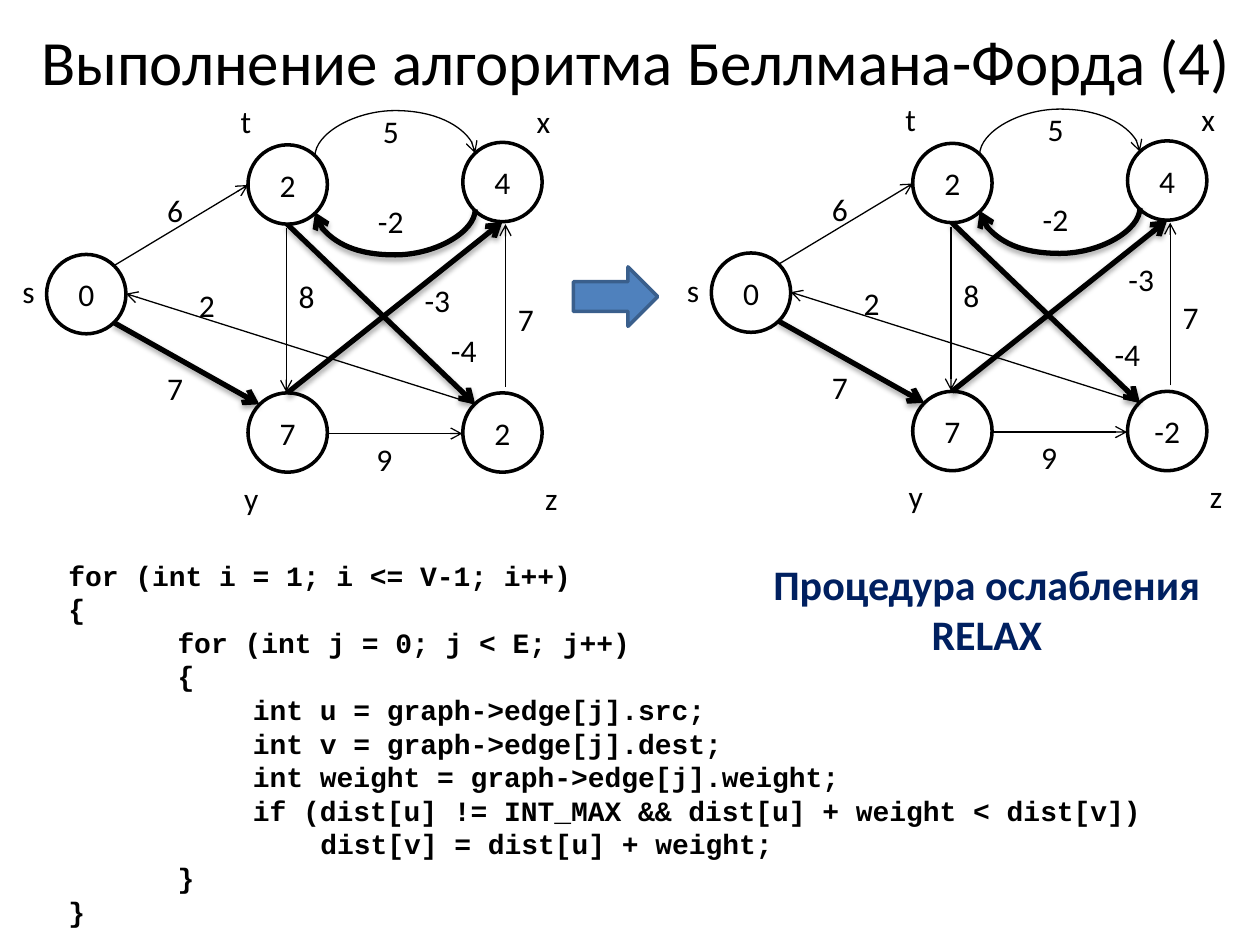
from lxml import etree
from pptx import Presentation
from pptx.dml.color import RGBColor
from pptx.enum.shapes import MSO_CONNECTOR, MSO_SHAPE
from pptx.enum.text import MSO_ANCHOR, MSO_AUTO_SIZE, PP_ALIGN
from pptx.oxml.ns import qn
from pptx.util import Cm, Pt

LINE, CURVE = MSO_CONNECTOR.STRAIGHT, MSO_CONNECTOR.CURVE
OVAL, ARROW = MSO_SHAPE.OVAL, MSO_SHAPE.RIGHT_ARROW
MIDDLE, GROW = MSO_ANCHOR.MIDDLE, MSO_AUTO_SIZE.SHAPE_TO_FIT_TEXT
LEFT, CENTER = PP_ALIGN.LEFT, PP_ALIGN.CENTER

BLACK, WHITE, NAVY = "000000", "FFFFFF", "002060"
THIN, BOLD = 0.75, 3
NODE = 1.6  # node diameter, cm

# Node corners: left, top
SPOTS = {"s": (0.94, 5.13), "t": (5, 2.92), "y": (5, 7.92),
         "x": (9.33, 2.87), "z": (9.33, 7.92)}

# Straight edges: start, end, weight of line
EDGES = [
    (2.29, 5.36, 5, 3.73, THIN),       # s to t
    (2.29, 6.5, 5.23, 8.15, BOLD),     # s to y
    (6.6, 8.74, 9.32, 8.74, THIN),     # y to z
    (5.79, 7.92, 10.13, 4.47, BOLD),   # y to x
    (9.58, 8.15, 2.54, 5.92, THIN),    # z to s
    (5.77, 4.6, 5.77, 7.9, THIN),      # t to y
    (10.19, 7.8, 10.19, 4.52, THIN),   # z to x
    (5.79, 4.52, 9.58, 8.15, BOLD),    # t to z
]

# Curved edges: start, end, weight of line
ARCS = [
    (6.35, 3.15, 9.58, 3.09, THIN),    # t to x
    (9.58, 4.22, 6.35, 4.28, BOLD),    # x to t
]
BULGE = 0.92  # depth of a curved edge, cm

# Labels shared by both graphs: text, left, top, width
LABELS = [
    ("6", 3.12, 3.73, 0.84), ("7", 3.12, 7.32, 0.84),
    ("5", 7.47, 2.13, 0.84), ("9", 7.34, 8.74, 0.84),
    ("2", 3.76, 5.64, 0.84), ("7", 10.19, 5.92, 0.84),
    ("8", 5.77, 5.46, 0.84), ("-2", 7.37, 3.94, 1.04),
    ("t", 4.6, 1.93, 0.74), ("x", 10.57, 1.93, 0.79),
    ("y", 4.67, 9.53, 0.81), ("z", 10.74, 9.53, 0.76),
    ("s", 0.2, 5.36, 0.76),
]

# Code lines: indent in cm, text
CODE = [
    (0.34, "for (int i = 1; i <= V-1; i++)"),
    (0.34, "{"),
    (2.54, "for (int j = 0; j < E; j++)"),
    (2.54, "{"),
    (4.06, "int u = graph->edge[j].src;"),
    (4.06, "int v = graph->edge[j].dest;"),
    (4.06, "int weight = graph->edge[j].weight;"),
    (4.06, "if (dist[u] != INT_MAX && dist[u] + weight < dist[v])"),
    (5.42, "dist[v] = dist[u] + weight;"),
    (2.54, "}"),
    (0.34, "}"),
]


def tint(code):
    return RGBColor.from_string(code)


def write(para, text, size=18, color=BLACK, bold=False, face="Calibri",
          align=LEFT):
    para.alignment = align
    run = para.add_run()
    run.text = text
    font = run.font
    font.name, font.size, font.bold = face, Pt(size), bold
    font.color.rgb = tint(color)


def add_text(shapes, left, top, width, height, wrap=False):
    box = shapes.add_textbox(Cm(left), Cm(top), Cm(width), Cm(height))
    box.text_frame.word_wrap = wrap
    box.text_frame.auto_size = GROW
    return box.text_frame


def add_shape(shapes, kind, left, top, width, height, fill, line):
    shape = shapes.add_shape(kind, Cm(left), Cm(top), Cm(width), Cm(height))
    shape.shadow.inherit = False
    shape.fill.solid()
    shape.fill.fore_color.rgb = tint(fill)
    shape.line.color.rgb = tint(line)
    shape.line.width = Pt(2)
    return shape


def add_node(shapes, left, top, text):
    frame = add_shape(shapes, OVAL, left, top, NODE, NODE,
                      WHITE, BLACK).text_frame
    frame.vertical_anchor = MIDDLE
    write(frame.paragraphs[0], text, align=CENTER)


def add_label(shapes, text, left, top, width):
    frame = add_text(shapes, left, top, width, 1.02)
    write(frame.paragraphs[0], text)


def add_edge(shapes, kind, x1, y1, x2, y2, weight):
    edge = shapes.add_connector(kind, Cm(x1), Cm(y1), Cm(x2), Cm(y2))
    edge.line.color.rgb = tint(BLACK)
    edge.line.width = Pt(weight)
    props = edge._element.spPr
    etree.SubElement(props.find(qn("a:ln")), qn("a:tailEnd"), type="arrow")
    effects = etree.SubElement(props, qn("a:effectLst"))
    if weight == BOLD:
        shade = etree.SubElement(effects, qn("a:outerShdw"), blurRad="40000",
                                 dist="23000", dir="5400000", rotWithShape="0")
        color = etree.SubElement(shade, qn("a:srgbClr"), val=BLACK)
        etree.SubElement(color, qn("a:alpha"), val="35000")
    return props


def add_arc(shapes, x1, y1, x2, y2, weight):
    # A quarter turn swaps the sides of the box around its centre
    mid_x, mid_y = (x1 + x2) / 2, (y1 + y2) / 2
    wide, high = abs(y2 - y1), abs(x2 - x1)
    left, top = mid_x - wide / 2, mid_y - high / 2
    props = add_edge(shapes, CURVE, left, top, left + wide, top + high, weight)
    frame = props.find(qn("a:xfrm"))
    frame.set("rot", "5400000")
    if x2 > x1:
        frame.set("flipH", "1")
        frame.set("flipV", "1")
    shape = props.find(qn("a:prstGeom"))
    guides = shape.find(qn("a:avLst"))
    if guides is None:
        guides = etree.SubElement(shape, qn("a:avLst"))
    etree.SubElement(guides, qn("a:gd"), name="adj1",
                     fmla=f"val {round(BULGE / wide * 100000)}")


def add_graph(slide, dx, dy, dists, extra):
    shapes = slide.shapes.add_group_shape().shapes
    for name, (left, top) in SPOTS.items():
        add_node(shapes, left + dx, top + dy, dists[name])
    for x1, y1, x2, y2, weight in EDGES:
        add_edge(shapes, LINE, x1 + dx, y1 + dy, x2 + dx, y2 + dy, weight)
    for x1, y1, x2, y2, weight in ARCS:
        add_arc(shapes, x1 + dx, y1 + dy, x2 + dx, y2 + dy, weight)
    for text, left, top, width in LABELS + extra:
        add_label(shapes, text, left + dx, top + dy, width)


def add_code(shapes):
    frame = add_text(shapes, 0.79, 11.13, 23.6, 7.77, wrap=True)
    for i, (indent, text) in enumerate(CODE):
        para = frame.paragraphs[0] if i == 0 else frame.add_paragraph()
        para._p.get_or_add_pPr().set("marL", str(Cm(indent)))
        write(para, text, 16, bold=True, face="Courier New")


def main():
    deck = Presentation()
    deck.slide_width, deck.slide_height = Cm(25.4), Cm(19.05)
    slide = deck.slides.add_slide(deck.slide_layouts[6])
    shapes = slide.shapes

    # Code and title
    add_code(shapes)
    title = add_text(shapes, 0.51, 0.33, 24.61, 1.6)
    write(title.paragraphs[0], "Выполнение алгоритма Беллмана-Форда (4)", 36,
          align=CENTER)

    # Step arrow and caption
    add_shape(shapes, ARROW, 11.56, 5.38, 1.7, 1.2, "4F81BD", "3A5F8C")
    note = add_text(shapes, 15.34, 11.13, 9.2, 2.31)
    write(note.paragraphs[0], "Процедура ослабления", 24, NAVY, True)
    write(note.add_paragraph(), "RELAX", 24, NAVY, True, align=CENTER)

    # Graph before and after the step
    dists = {"s": "0", "t": "2", "y": "7", "x": "4", "z": "2"}
    add_graph(slide, 0, 0, dists,
              [("-4", 8.84, 6.55, 1.04), ("-3", 8.31, 5.54, 1.04)])
    add_graph(slide, 13.4, -0.03, {**dists, "z": "-2"},
              [("-4", 8.82, 6.66, 1.04), ("-3", 9.1, 5.14, 1.04)])

    deck.save("out.pptx")


if __name__ == "__main__":
    main()
